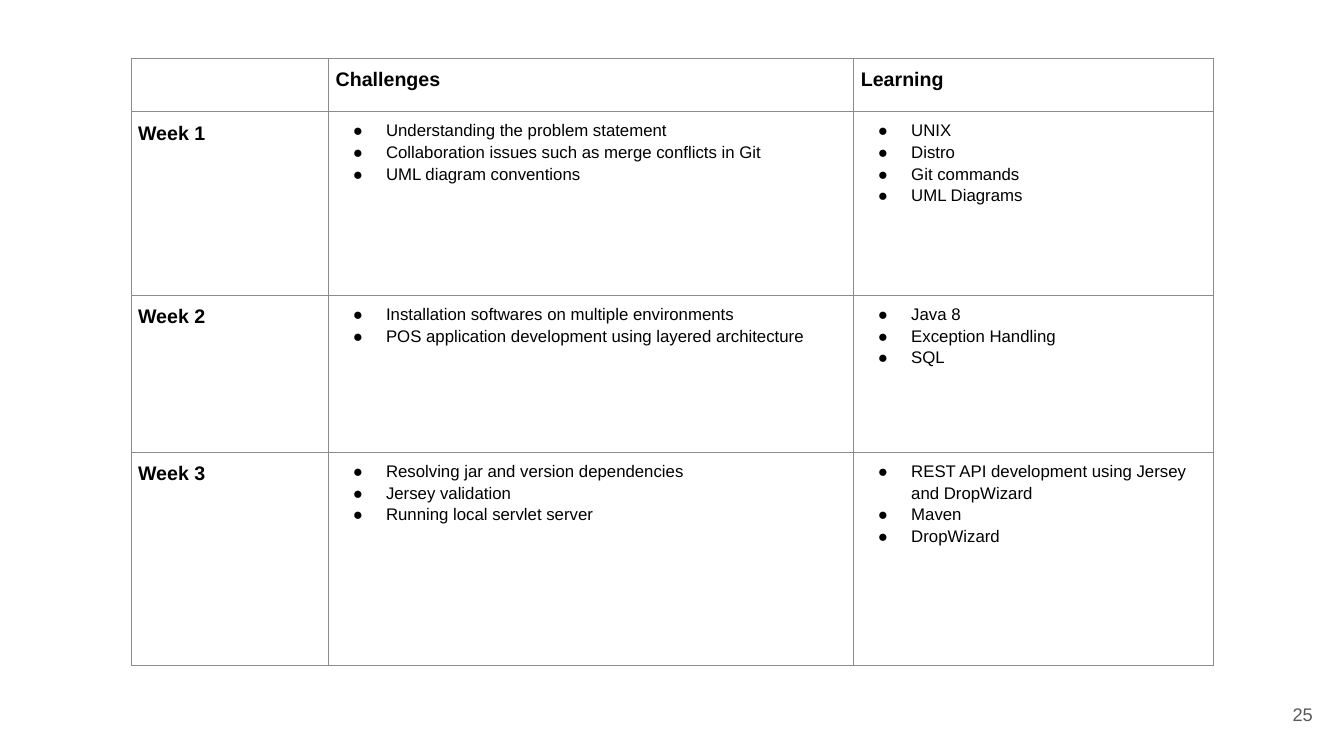
"""Build the weekly challenges and learning slide."""
import dataclasses

import pptx
import pptx.dml.color
import pptx.enum.text
import pptx.oxml
import pptx.oxml.ns
import pptx.util


@dataclasses.dataclass(frozen=True)
class Theme:
    font: str = "Arial"
    ink: str = "000000"
    muted: str = "595959"
    border: str = "8C8C8C"
    border_width: float = 0.75
    heading_size: int = 14
    body_size: int = 12
    number_size: int = 13
    line_spacing: float = 1.15
    cell_inset: float = 0.07
    number_inset: float = 0.13
    bullet_margin: float = 0.5
    bullet_indent: float = -0.33


HEADINGS = ("", "Challenges", "Learning")
WEEKS = (
    (("Understanding the problem statement",
      "Collaboration issues such as merge conflicts in Git",
      "UML diagram conventions"),
     ("UNIX", "Distro", "Git commands", "UML Diagrams")),
    (("Installation softwares on multiple environments",
      "POS application development using layered architecture"),
     ("Java 8", "Exception Handling", "SQL")),
    (("Resolving jar and version dependencies",
      "Jersey validation",
      "Running local servlet server"),
     ("REST API development using Jersey and DropWizard",
      "Maven", "DropWizard")),
)
COLUMN_SHARES = (14.7, 39.08, 26.78)
ROW_SHARES = (7.07, 24.27, 20.8, 28.13)


def xml_element(markup):
    namespace = pptx.oxml.ns.nsdecls("a")
    return pptx.oxml.parse_xml(markup.replace(" ", f" {namespace} ", 1))


def write_paragraph(paragraph, text, *, font, size, color, bold=False,
                    align=None, spacing=None):
    paragraph.alignment = align
    paragraph.line_spacing = spacing
    run = paragraph.add_run()
    run.text = text
    run.font.name = font
    run.font.size = pptx.util.Pt(size)
    run.font.bold = bold
    run.font.color.rgb = pptx.dml.color.RGBColor.from_string(color)


class SlideBuilder:
    def __init__(self, presentation, theme):
        self.theme = theme
        self.width = presentation.slide_width
        self.height = presentation.slide_height
        self.slide = presentation.slides.add_slide(presentation.slide_layouts[6])

    def across(self, percent):
        return round(self.width * percent / 100)

    def down(self, percent):
        return round(self.height * percent / 100)

    def set_insets(self, target, inches):
        for side in ("left", "top", "right", "bottom"):
            setattr(target, f"margin_{side}", pptx.util.Inches(inches))

    def page_number(self, text, left, top, width, height):
        shape = self.slide.shapes.add_textbox(
            self.across(left), self.down(top), self.across(width), self.down(height))
        frame = shape.text_frame
        frame.word_wrap = True
        frame.vertical_anchor = pptx.enum.text.MSO_ANCHOR.MIDDLE
        self.set_insets(frame, self.theme.number_inset)
        write_paragraph(frame.paragraphs[0], text, font=self.theme.font,
                        size=self.theme.number_size, color=self.theme.muted,
                        align=pptx.enum.text.PP_ALIGN.RIGHT)

    def table(self, left, top, columns, rows):
        shape = self.slide.shapes.add_table(
            len(rows), len(columns), self.across(left), self.down(top),
            self.across(sum(columns)), self.down(sum(rows)))
        table = shape.table
        table.first_row = table.horz_banding = False
        for column, share in zip(table.columns, columns):
            column.width = self.across(share)
        for row, share in zip(table.rows, rows):
            row.height = self.down(share)
        for cell in table.iter_cells():
            self.style_cell(cell)
        return table

    def style_cell(self, cell):
        self.set_insets(cell, self.theme.cell_inset)
        properties = cell._tc.get_or_add_tcPr()
        line_width = pptx.util.Pt(self.theme.border_width)
        for side in "LRTB":
            properties.append(xml_element(
                f'<a:ln{side} w="{line_width}"><a:solidFill>'
                f'<a:srgbClr val="{self.theme.border}"/></a:solidFill></a:ln{side}>'))
        cell.fill.background()

    def heading(self, cell, text):
        if text:
            write_paragraph(cell.text_frame.paragraphs[0], text,
                            font=self.theme.font, size=self.theme.heading_size,
                            color=self.theme.ink, bold=True,
                            spacing=self.theme.line_spacing)

    def bullets(self, cell, items):
        frame = cell.text_frame
        for index, item in enumerate(items):
            paragraph = frame.add_paragraph() if index else frame.paragraphs[0]
            write_paragraph(paragraph, item, font=self.theme.font,
                            size=self.theme.body_size, color=self.theme.ink,
                            spacing=self.theme.line_spacing)
            properties = paragraph._p.get_or_add_pPr()
            properties.set("marL", str(pptx.util.Inches(self.theme.bullet_margin)))
            properties.set("indent", str(pptx.util.Inches(self.theme.bullet_indent)))
            for markup in (
                    f'<a:buClr ><a:srgbClr val="{self.theme.ink}"/></a:buClr>',
                    f'<a:buFont typeface="{self.theme.font}"/>',
                    '<a:buChar char="●"/>'):
                properties.append(xml_element(markup))


def main():
    presentation = pptx.Presentation()
    presentation.slide_width = pptx.util.Inches(13.33)
    presentation.slide_height = pptx.util.Inches(7.5)
    builder = SlideBuilder(presentation, Theme())
    builder.page_number("25", 92.65, 90.67, 6, 7.6)
    table = builder.table(9.75, 7.73, COLUMN_SHARES, ROW_SHARES)
    for column, text in enumerate(HEADINGS):
        builder.heading(table.cell(0, column), text)
    for week, lists in enumerate(WEEKS, start=1):
        builder.heading(table.cell(week, 0), f"Week {week}")
        for column, items in enumerate(lists, start=1):
            builder.bullets(table.cell(week, column), items)
    presentation.save("out.pptx")


if __name__ == "__main__":
    main()
